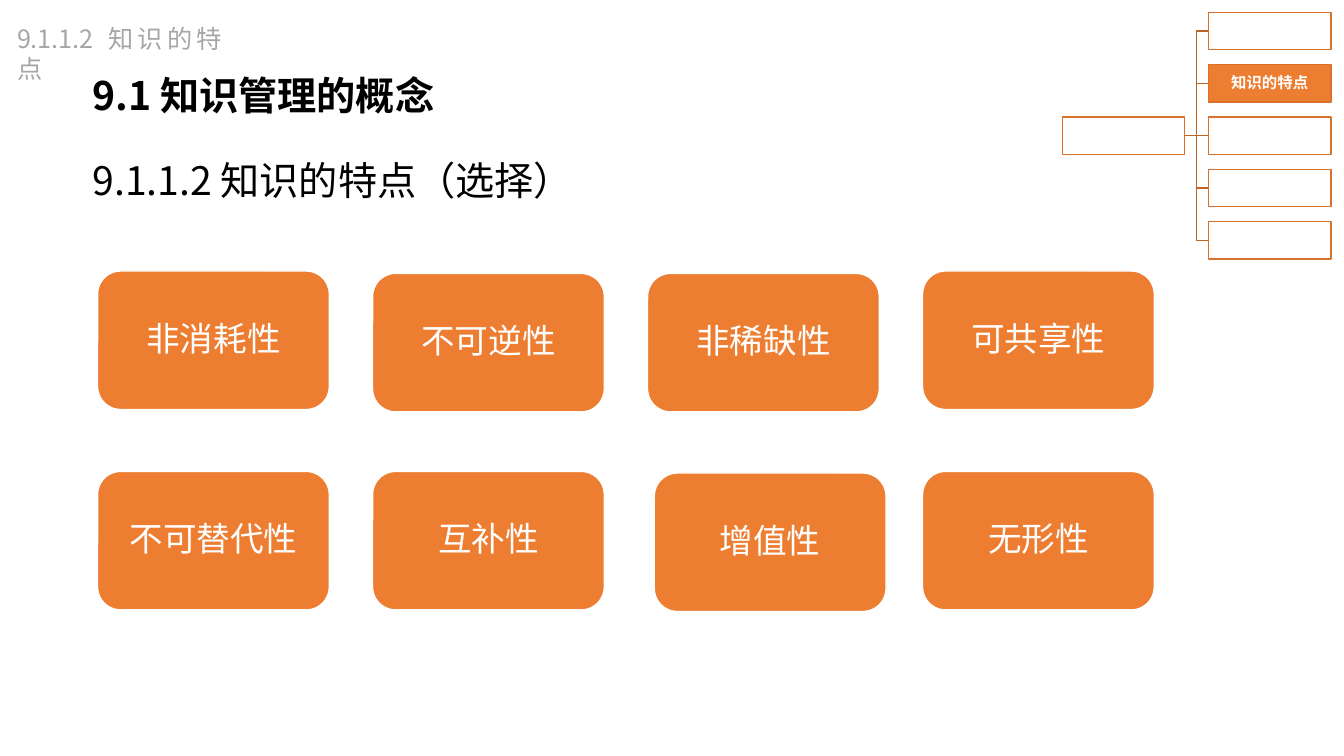
"""Build the slide on the characteristics of knowledge."""
from dataclasses import dataclass

import pptx
import pptx.dml.color
import pptx.enum.shapes
import pptx.enum.text
import pptx.oxml.ns
import pptx.util
from lxml import etree

Cm = pptx.util.Cm
Pt = pptx.util.Pt
qn = pptx.oxml.ns.qn
ALIGN = pptx.enum.text.PP_ALIGN
ANCHOR = pptx.enum.text.MSO_ANCHOR
SHAPE = pptx.enum.shapes.MSO_SHAPE
CONNECTOR = pptx.enum.shapes.MSO_CONNECTOR

SANS_SC = "Noto Sans CJK SC"
SANS_JP = "Noto Sans CJK JP"
ORANGE, EDGE, BRANCH = "ED7D31", "D7712C", "BE6427"
WHITE, BLACK, GREY = "FFFFFF", "000000", "A6A6A6"

CARD_LEFT, CARD_STEP, CARD_W, CARD_H = 2.46, 6.93, 5.84, 3.49
ROW_TOPS = (6.83, 11.88)
NODE_W, NODE_H = 3.08, 0.94
ROOT_LEFT, CHILD_LEFT, CHILD_TOP, CHILD_STEP = 26.77, 30.46, 0.31, 1.32
ROOT_ROW, ACTIVE_ROW, CHILD_COUNT = 2, 1, 5


@dataclass
class Style:
    size: float
    color: str
    font: str = SANS_SC
    bold: bool = False
    align: ALIGN = ALIGN.LEFT
    anchor: ANCHOR = ANCHOR.MIDDLE
    spacing: float = 1.0
    inset: tuple[float, float] = (0.3, 0.15)


@dataclass
class Card:
    text: str
    col: int
    row: int
    dx: float = 0
    dy: float = 0


CARDS = [
    Card("非消耗性", 0, 0),
    Card("不可逆性", 1, 0, dy=0.06),
    Card("非稀缺性", 2, 0, dy=0.06),
    Card("可共享性", 3, 0),
    Card("不可替代性", 0, 1),
    Card("互补性", 1, 1),
    Card("增值性", 2, 1, dx=0.17, dy=0.04),
    Card("无形性", 3, 1),
]

HEADING = Style(28, BLACK, bold=True, anchor=ANCHOR.TOP)
SUBHEADING = Style(28, BLACK, spacing=1.5)
CORNER = Style(18, GREY, align=ALIGN.JUSTIFY, anchor=ANCHOR.TOP, inset=(0.25, 0.13))
CARD = Style(24, WHITE, SANS_JP, align=ALIGN.CENTER, spacing=0.9, inset=(0.43, 0.43))
NODE = Style(11, WHITE, bold=True, align=ALIGN.CENTER, spacing=0.9, inset=(0.03, 0.03))


def rgb(code: str) -> pptx.dml.color.RGBColor:
    return pptx.dml.color.RGBColor.from_string(code)


def place(sp, x: float, y: float, w: float, h: float) -> None:
    sp.left, sp.top, sp.width, sp.height = Cm(x), Cm(y), Cm(w), Cm(h)


def write(sp, text: str, style: Style) -> None:
    tf = sp.text_frame
    tf.word_wrap = True
    tf.auto_size = pptx.enum.text.MSO_AUTO_SIZE.NONE
    tf.vertical_anchor = style.anchor
    tf.margin_left = tf.margin_right = Cm(style.inset[0])
    tf.margin_top = tf.margin_bottom = Cm(style.inset[1])
    p = tf.paragraphs[0]
    p.alignment = style.align
    p.line_spacing = style.spacing
    p.space_before = Pt(0)
    r = p.add_run()
    r.text = text
    r.font.size = Pt(style.size)
    r.font.bold = style.bold
    r.font.color.rgb = rgb(style.color)
    r.font.name = style.font
    ea = etree.SubElement(r.font._element, qn("a:ea"))
    ea.set("typeface", style.font)


def add_box(s, kind: SHAPE, x: float, y: float, w: float, h: float, fill: str, line: str):
    sp = s.shapes.add_shape(kind, Cm(x), Cm(y), Cm(w), Cm(h))
    sp.shadow.inherit = False
    sp.fill.solid()
    sp.fill.fore_color.rgb = rgb(fill)
    sp.line.color.rgb = rgb(line)
    sp.line.width = Pt(1)
    return sp


def add_headings(s) -> None:
    title, body = s.shapes.title, s.placeholders[1]
    place(title, 2.03, 1.65, 29.08, 1.5)
    write(title, "9.1 知识管理的概念", HEADING)
    place(body, 2.03, 2.92, 30.89, 2.64)
    pPr = body.text_frame.paragraphs[0]._p.get_or_add_pPr()
    pPr.set("marL", "0")
    pPr.set("indent", "0")
    etree.SubElement(pPr, qn("a:buNone"))
    write(body, "9.1.1.2 知识的特点（选择）", SUBHEADING)
    corner = s.shapes.add_textbox(Cm(0.18), Cm(0.46), Cm(5.66), Cm(1.02))
    write(corner, "9.1.1.2 知识的特点", CORNER)


def add_tree(s) -> None:
    tops = [CHILD_TOP + i * CHILD_STEP for i in range(CHILD_COUNT)]
    root_top = tops[ROOT_ROW]
    for i, top in enumerate(tops):
        kind = CONNECTOR.STRAIGHT if i == ROOT_ROW else CONNECTOR.ELBOW
        cx = s.shapes.add_connector(
            kind, Cm(ROOT_LEFT + NODE_W), Cm(root_top + NODE_H / 2),
            Cm(CHILD_LEFT), Cm(top + NODE_H / 2))
        cx.line.color.rgb = rgb(BRANCH)
        cx.line.width = Pt(1)
        etree.SubElement(cx._element.spPr, qn("a:effectLst"))
    add_box(s, SHAPE.RECTANGLE, ROOT_LEFT, root_top, NODE_W, NODE_H, WHITE, EDGE)
    for i, top in enumerate(tops):
        fill = ORANGE if i == ACTIVE_ROW else WHITE
        sp = add_box(s, SHAPE.RECTANGLE, CHILD_LEFT, top, NODE_W, NODE_H, fill, EDGE)
        if i == ACTIVE_ROW:
            write(sp, "知识的特点", NODE)


def add_cards(s) -> None:
    for card in CARDS:
        x = CARD_LEFT + card.col * CARD_STEP + card.dx
        y = ROW_TOPS[card.row] + card.dy
        sp = add_box(s, SHAPE.ROUNDED_RECTANGLE, x, y, CARD_W, CARD_H, ORANGE, WHITE)
        write(sp, card.text, CARD)


def main() -> None:
    prs = pptx.Presentation()
    prs.slide_width, prs.slide_height = Cm(33.87), Cm(19.05)
    s = prs.slides.add_slide(prs.slide_layouts[1])
    add_headings(s)
    add_tree(s)
    add_cards(s)
    prs.save("out.pptx")


if __name__ == "__main__":
    main()
